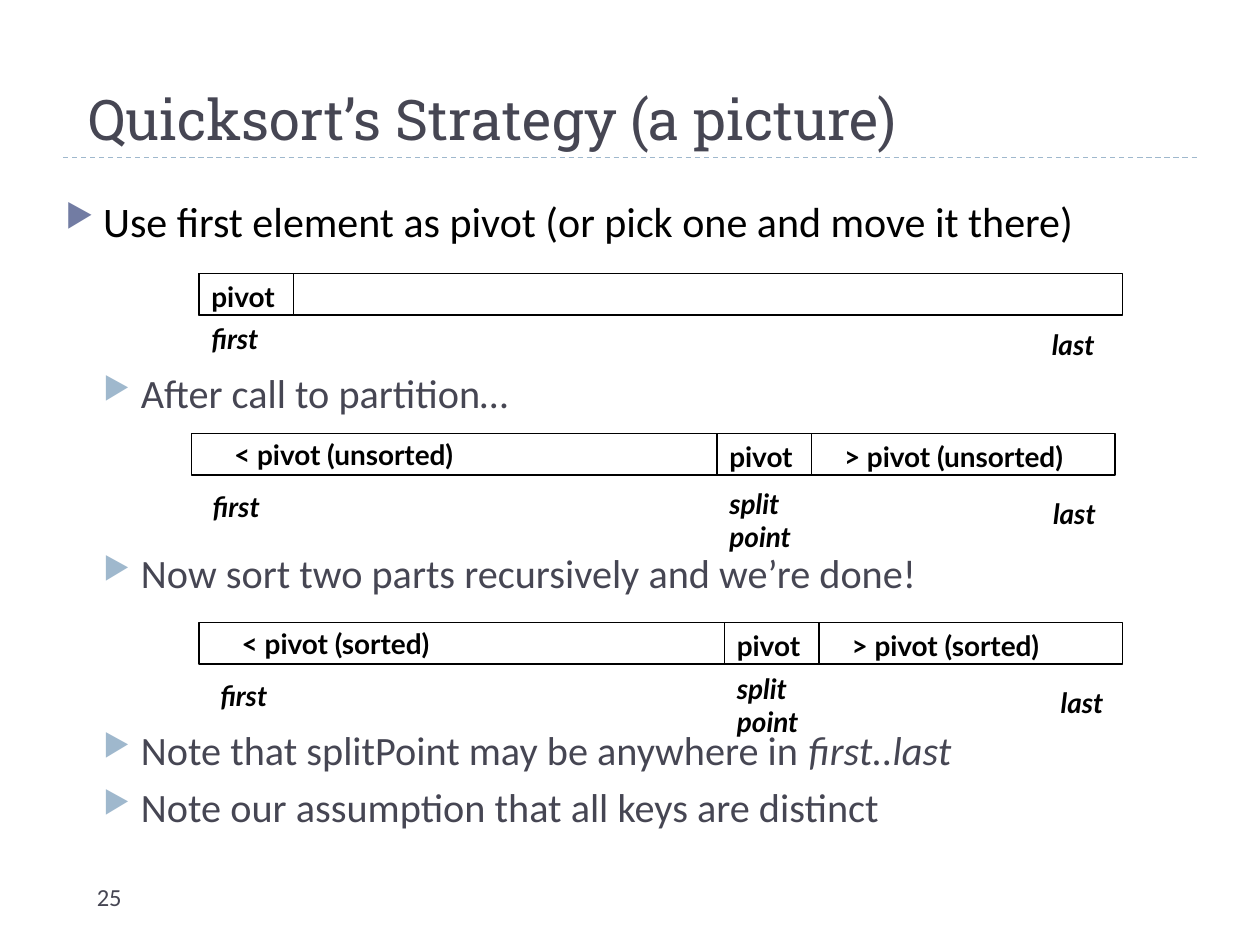
from pptx import Presentation
from pptx.dml.color import RGBColor
from pptx.enum.dml import MSO_LINE_DASH_STYLE as Dash
from pptx.enum.shapes import MSO_CONNECTOR as Connector, MSO_SHAPE as Shape
from pptx.enum.text import MSO_ANCHOR as Anchor
from pptx.oxml.ns import qn
from pptx.util import Inches, Pt
from lxml.etree import SubElement

BLACK, SLATE, BLUE, INDIGO = "000000", "464653", "9FB8CD", "727CA3"
BAR_WIDTH, BAR_HEIGHT, PIVOT_WIDTH = 7.33, 0.33, 0.75


def color(hex_string):
    return RGBColor.from_string(hex_string)


def add_run(paragraph, text, size, font, hex_color, bold=False, italic=False):
    run = paragraph.add_run()
    run.text = text
    run.font.size = Pt(size)
    run.font.name = font
    run.font.color.rgb = color(hex_color)
    run.font.bold = bold
    run.font.italic = italic


def add_text_frame(slide, left, top, width, height):
    box = slide.shapes.add_textbox(Inches(left), Inches(top), Inches(width), Inches(height))
    box.text_frame.word_wrap = True
    return box.text_frame


def add_label(slide, text, left, top, width, height=0.37, italic=False):
    frame = add_text_frame(slide, left, top, width, height)
    add_run(frame.paragraphs[0], text, 16, "Lato", BLACK, bold=True, italic=italic)


def add_cell(slide, left, top, width):
    cell = slide.shapes.add_shape(
        Shape.RECTANGLE, Inches(left), Inches(top), Inches(width), Inches(BAR_HEIGHT))
    cell.shadow.inherit = False
    cell.fill.background()
    cell.line.color.rgb = color(BLACK)
    cell.line.width = Pt(0.75)


def add_array(slide, left, top, pivot_offset, ends_left, ends_top):
    """Draw the array bar, its pivot cell and the labels of both ends."""
    add_cell(slide, left, top, BAR_WIDTH)
    add_cell(slide, left + pivot_offset, top, PIVOT_WIDTH)
    add_label(slide, "pivot", left + pivot_offset, top, 1)
    add_label(slide, "first", ends_left, ends_top, 0.67, italic=True)
    add_label(slide, "last", ends_left + 6.67, ends_top + 0.05, 0.67, italic=True)


def add_partitioned_array(slide, left, top, state, split_top):
    pivot_offset = 4.17
    add_array(slide, left, top, pivot_offset, left + 0.07, top + 0.4)
    add_label(slide, f"< pivot ({state})", left + 0.24, top - 0.02, 2.28)
    add_label(slide, f"> pivot ({state})", left + 5.08, top, 2.75)
    add_label(slide, "split point", left + pivot_offset, split_top, 1.08, 0.64, italic=True)


def add_bullet(paragraph, level, hex_color):
    properties = paragraph._p.get_or_add_pPr()
    properties.set("marL", str(Inches(0.3 * (level + 1))))
    properties.set("indent", str(Inches(-0.3)))
    bullet_color = SubElement(properties, qn("a:buClr"))
    SubElement(bullet_color, qn("a:srgbClr"), val=hex_color)
    SubElement(properties, qn("a:buSzPct"), val="76000")
    SubElement(properties, qn("a:buChar"), char="▶")
    paragraph.level = level


def add_title(slide, text):
    rule = slide.shapes.add_connector(
        Connector.STRAIGHT, Inches(0.5), Inches(1.25), Inches(9.5), Inches(1.25))
    rule.line.color.rgb = color(BLUE)
    rule.line.width = Pt(0.75)
    rule.line.dash_style = Dash.DASH
    SubElement(rule._element.spPr, qn("a:effectLst"))
    frame = add_text_frame(slide, 0.5, 0.17, 9, 1.08)
    frame.margin_left = Inches(0.2)
    frame.vertical_anchor = Anchor.BOTTOM
    add_run(frame.paragraphs[0], text, 32, "Roboto Slab", SLATE)


def add_body(slide):
    frame = add_text_frame(slide, 0.42, 1.5, 9.25, 6)
    heading = frame.paragraphs[0]
    add_bullet(heading, 0, INDIGO)
    add_run(heading, "Use first element as pivot (or pick one and move it there)",
            24, "Calibri", BLACK)

    # Space before each step leaves room for the array above it
    steps = [
        (70, "After call to partition…", ""),
        (75.5, "Now sort two parts recursively and we’re done!", ""),
        (73.5, "Note that splitPoint may be anywhere in ", "first..last"),
        (5, "Note our assumption that all keys are distinct", ""),
    ]
    for space, text, emphasis in steps:
        paragraph = frame.add_paragraph()
        add_bullet(paragraph, 1, BLUE)
        paragraph.space_before = Pt(space)
        add_run(paragraph, text, 23, "Calibri", SLATE)
        if emphasis:
            add_run(paragraph, emphasis, 23, "Calibri", SLATE, italic=True)


def main():
    presentation = Presentation()
    presentation.slide_width = Inches(10)
    presentation.slide_height = Inches(7.5)
    slide = presentation.slides.add_slide(presentation.slide_layouts[6])

    # Title, page number and bullets
    add_title(slide, "Quicksort’s Strategy (a picture)")
    number = add_text_frame(slide, 0.67, 6.95, 2.17, 0.4)
    add_run(number.paragraphs[0], "25", 14, "Calibri", SLATE)
    add_body(slide)

    # Array before partition, after partition and after sorting
    add_array(slide, 1.58, 2.17, 0, 1.58, 2.5)
    add_partitioned_array(slide, 1.52, 3.44, "unsorted", 3.81)
    add_partitioned_array(slide, 1.58, 4.94, "sorted", 5.28)

    presentation.save("out.pptx")


if __name__ == "__main__":
    main()
